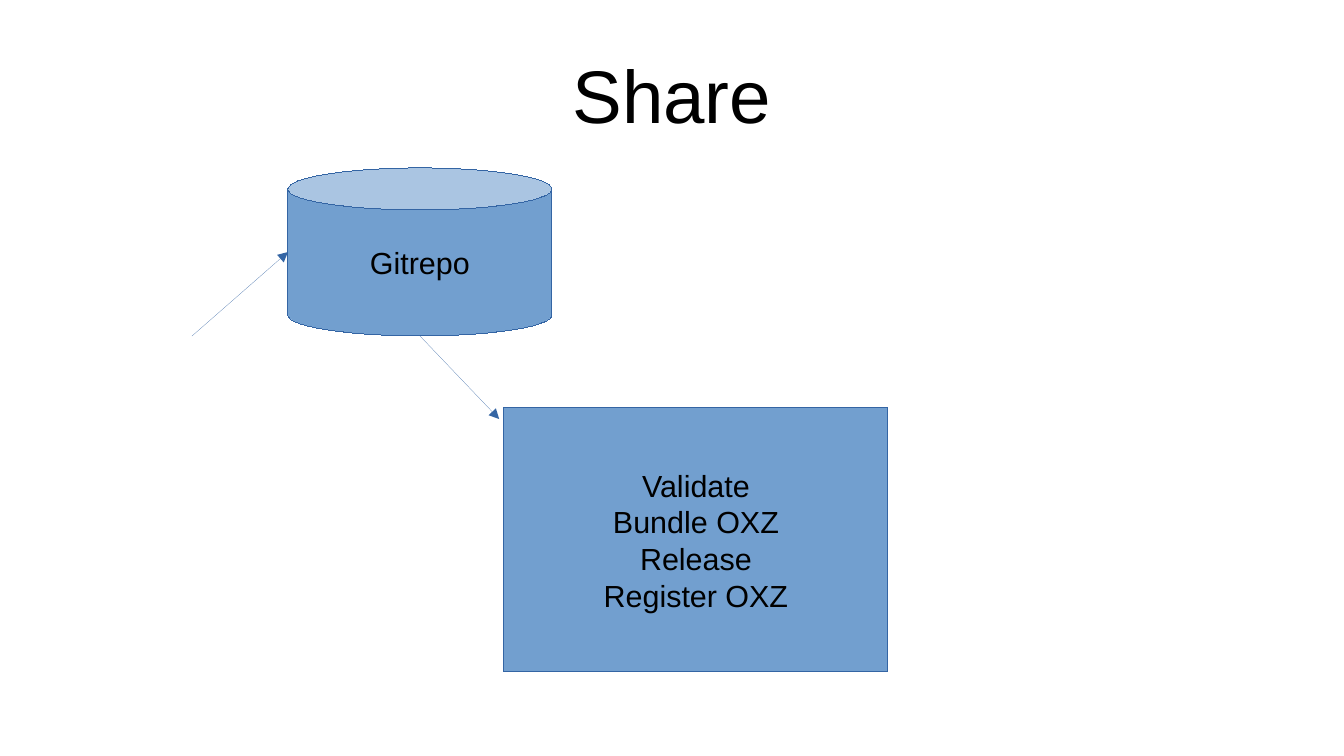
from lxml import etree
from pptx import Presentation
from pptx import util as u
from pptx.dml.color import RGBColor
from pptx.enum import shapes, text
from pptx.oxml import ns

COLS, ROWS = 28, 15.75
FONT, INK, FILL, EDGE = "Arial", "000000", "729FCF", "3465A4"


def grid(*cells):
    """Turn grid columns and rows of one centimetre into lengths."""
    return [u.Cm(c) for c in cells]


def paint(target, colour):
    """Give a fill a solid colour from a hex string."""
    target.solid()
    target.fore_color.rgb = RGBColor.from_string(colour)


def hairline(line):
    """Draw a line as thin as possible in the edge colour."""
    paint(line.fill, EDGE)
    line.width = u.Emu(1)


def write(tf, words, size):
    """Fill a text frame with centred, vertically centred paragraphs."""
    tf.text = words
    tf.word_wrap = True
    tf.vertical_anchor = text.MSO_ANCHOR.MIDDLE
    for p in tf.paragraphs:
        p.alignment = text.PP_ALIGN.CENTER
        for r in p.runs:
            r.font.name, r.font.size = FONT, u.Pt(size)
            paint(r.font.fill, INK)


def add_title(s, box, words):
    """Place the title placeholder in its box."""
    sp = s.shapes.title
    sp.left, sp.top, sp.width, sp.height = grid(*box)
    tf = sp.text_frame
    tf.margin_left = tf.margin_top = tf.margin_right = tf.margin_bottom = 0
    write(tf, words, 44)


def add_node(s, kind, box, words):
    """Add a labelled shape in its box."""
    sp = s.shapes.add_shape(kind, *grid(*box))
    sp.shadow.inherit = False
    paint(sp.fill, FILL)
    hairline(sp.line)
    write(sp.text_frame, words, 18)


def add_arrow(s, start, end):
    """Add a straight arrow between two grid points."""
    c = s.shapes.add_connector(shapes.MSO_CONNECTOR.STRAIGHT, *grid(*start, *end))
    hairline(c.line)
    ln = c._element.spPr.find(ns.qn("a:ln"))
    etree.SubElement(ln, ns.qn("a:tailEnd"), type="triangle")
    etree.SubElement(c._element.spPr, ns.qn("a:effectLst"))


def add_flow(s, box):
    """Lay out the store, the steps and the arrows in the given box."""
    x, y, w, h = box
    store_w, store_h = 5.5, 3.5
    steps_w, steps_h = 8, 5.5
    store_x = x + 2
    steps_x, steps_y = x + w - steps_w, y + h - steps_h
    store_mid, store_end = y + store_h / 2, y + store_h
    add_node(s, shapes.MSO_SHAPE.CAN, (store_x, y, store_w, store_h), "Gitrepo")
    add_arrow(s, (x, store_end), (store_x, store_mid))
    add_node(s, shapes.MSO_SHAPE.RECTANGLE, (steps_x, steps_y, steps_w, steps_h),
             "Validate\nBundle OXZ\nRelease\nRegister OXZ")
    add_arrow(s, (store_x + store_w / 2, store_end), (steps_x - 0.1, steps_y + 0.23))


def main():
    """Build the slide and save it."""
    prs = Presentation()
    prs.slide_width, prs.slide_height = grid(COLS, ROWS)
    s = prs.slides.add_slide(prs.slide_layouts[5])
    add_title(s, (COLS * 0.05, ROWS * 0.04, COLS * 0.9, ROWS / 6), "Share")
    add_flow(s, (4, 3.5, 14.5, 10.5))
    prs.save("out.pptx")


if __name__ == "__main__":
    main()
